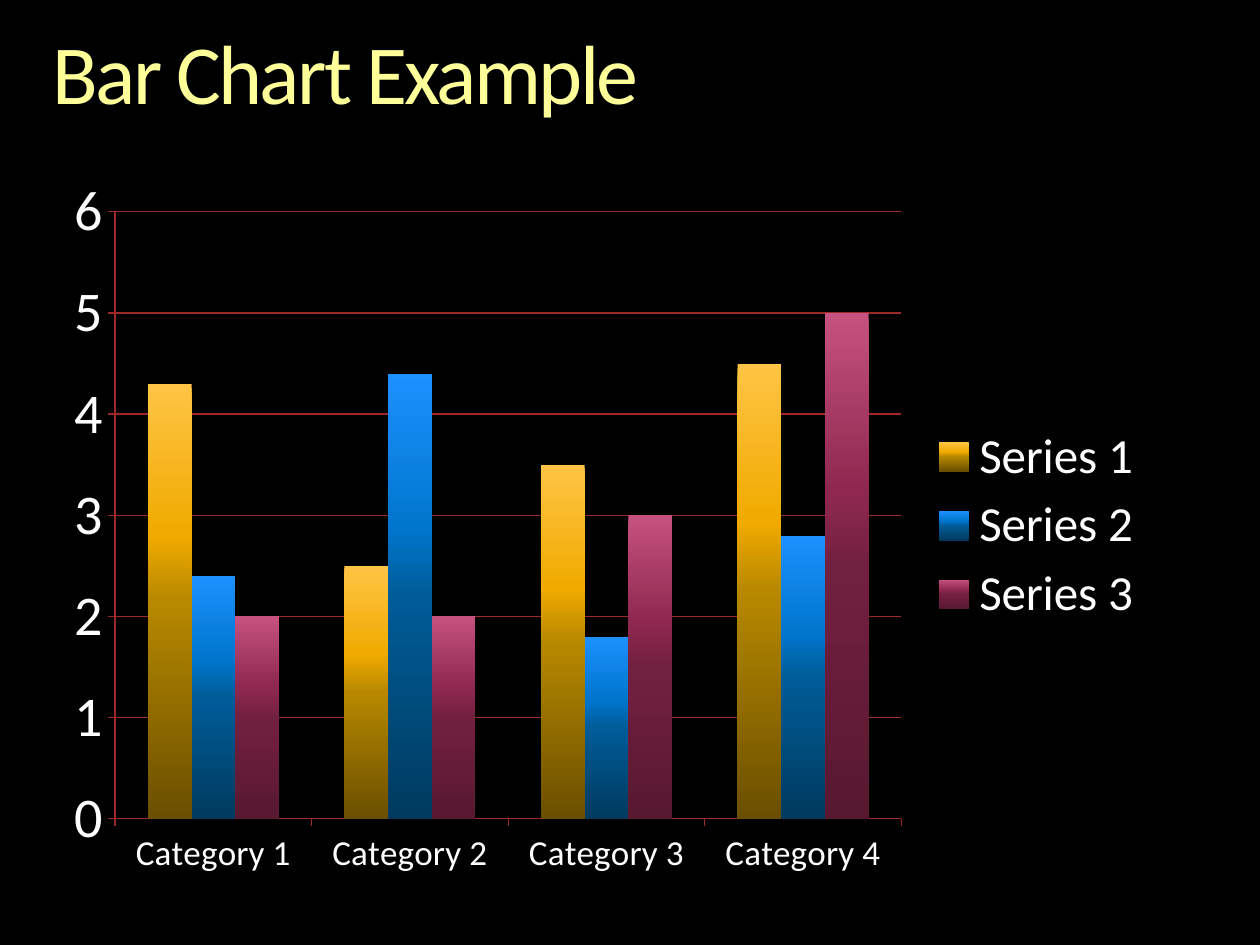
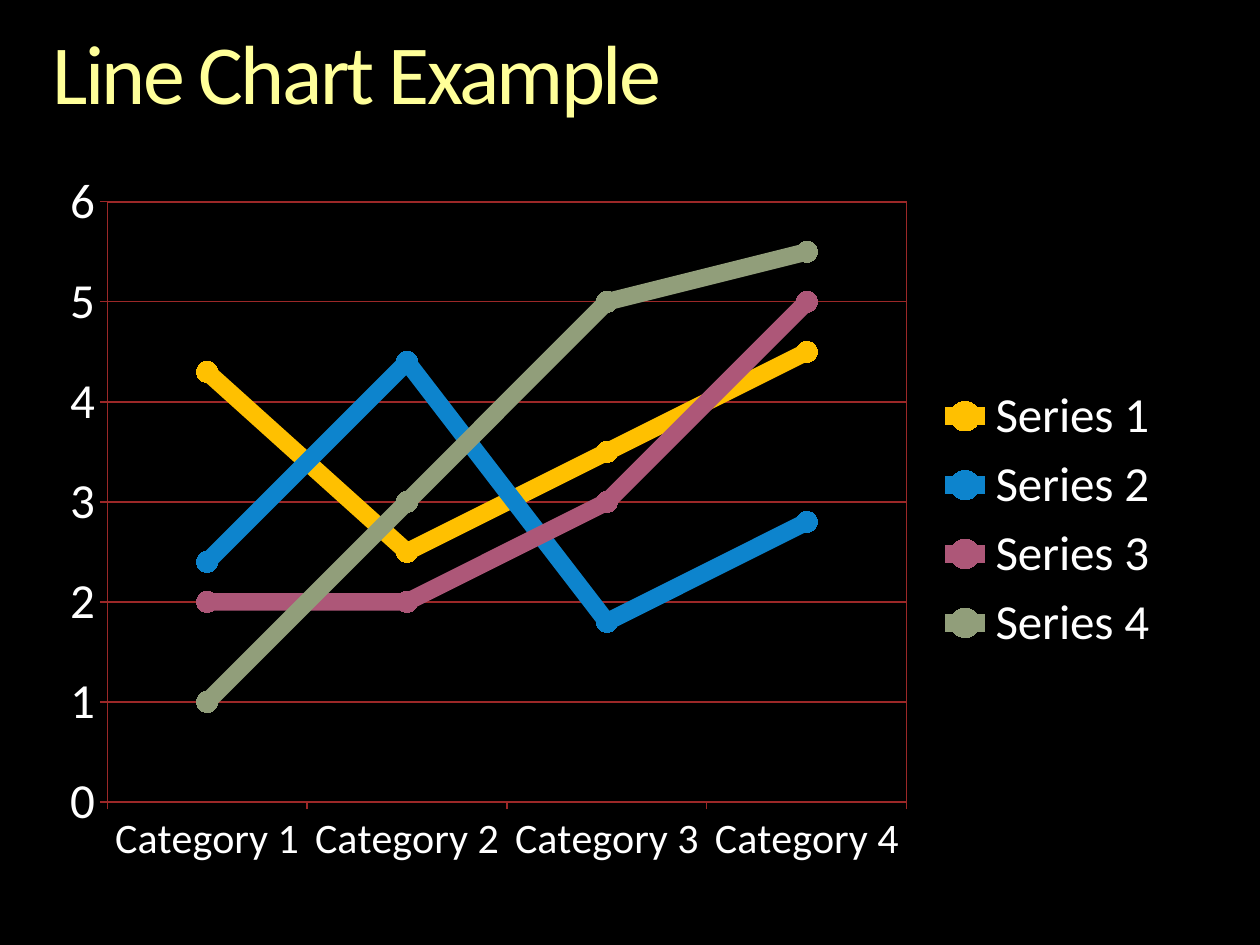
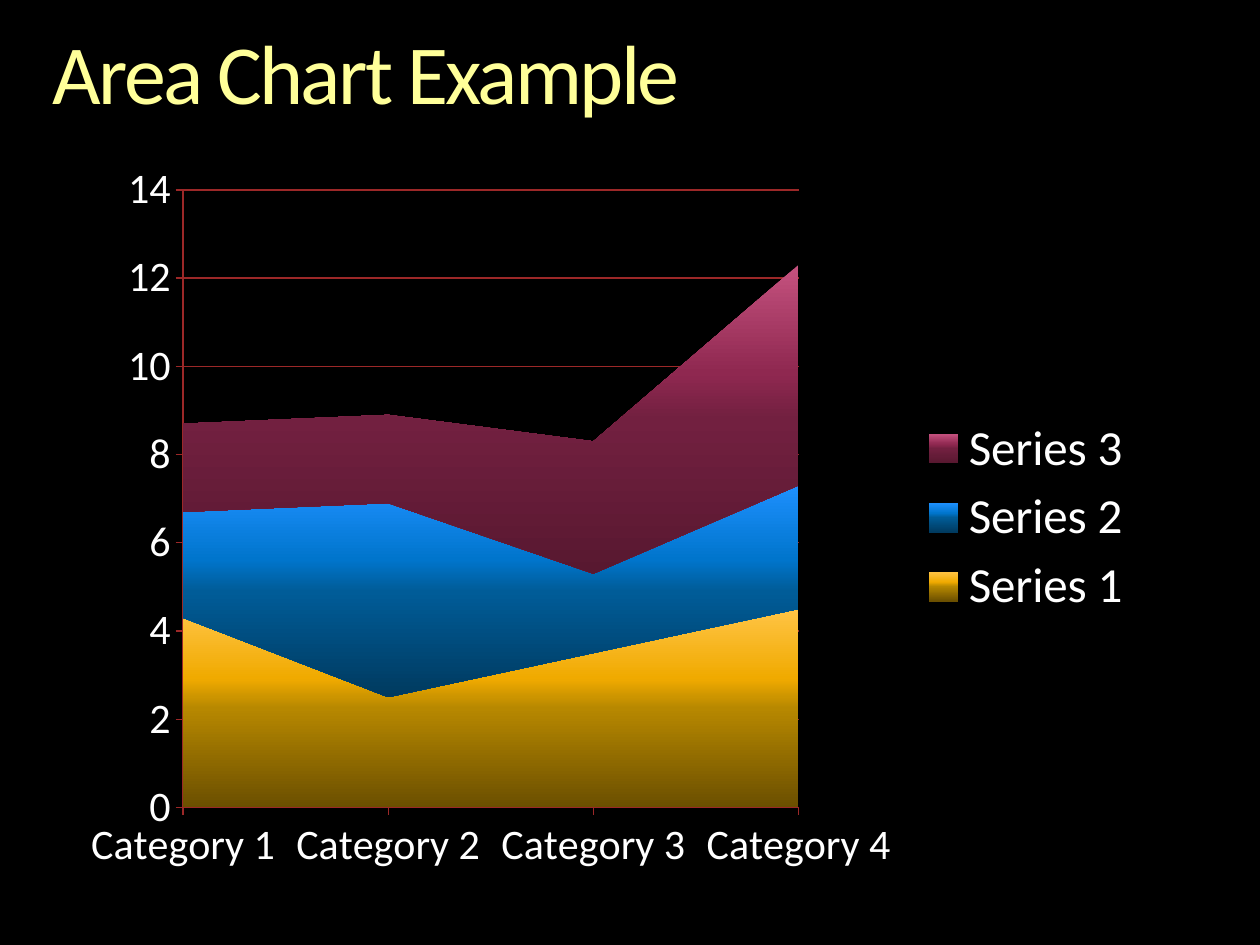
from lxml import etree
from pptx import Presentation
from pptx.chart.data import CategoryChartData
from pptx.dml.color import RGBColor
from pptx.enum import chart as ch, text
from pptx.oxml import ns
from pptx.util import Cm, Pt

FONT = "Calibri"
BACKGROUND, INK, RULE = "000000", "FFFFFF", "9C2828"
TITLE_BOX = (1.06, 0.64, 23.29, 1.85)
TITLE_STOPS = [(0, "FFFFB9", 100), (36, "FFFF99", 100), (86, "F6AE1E", 100)]

CATEGORIES = ["Category 1", "Category 2", "Category 3", "Category 4"]
SERIES = [
    ("Series 1", (4.3, 2.5, 3.5, 4.5), "FFC000", ("FFC445", "F0AA00", "B78800", "6B4F00")),
    ("Series 2", (2.4, 4.4, 1.8, 2.8), "0D84CD", ("1E90FF", "0075CC", "005C98", "003A5F")),
    ("Series 3", (2, 2, 3, 5), "AD5778", ("C5527F", "8F2850", "722040", "581830")),
    ("Series 4", (1, 3, 5, 5.5), "919E7A", ()),
]
SHADE_POSITIONS = (0, 35, 50, 100)

SLIDES = [
    dict(title="Bar Chart Example", kind=ch.XL_CHART_TYPE.COLUMN_CLUSTERED, series=3,
         frame=(1.07, 3.28, 22.3, 14.63), plot=(2.32, 4.27, 15.85, 12.24),
         category_size=20, value_size=32, backdrop=None),
    dict(title="Line Chart Example", kind=ch.XL_CHART_TYPE.LINE_MARKERS, series=4,
         frame=(0.97, 3.2, 22.73, 14.55), plot=(2.16, 4.07, 16.12, 12.1),
         category_size=24, value_size=28,
         backdrop=([(0, BACKGROUND, 0), (50, BACKGROUND, 9), (100, BACKGROUND, 85)], 90)),
    dict(title="Area Chart Example", kind=ch.XL_CHART_TYPE.AREA_STACKED, series=3,
         frame=(1.42, 3.02, 21.74, 14.83), plot=(3.69, 3.83, 12.41, 12.45),
         category_size=24, value_size=24,
         backdrop=([(0, BACKGROUND, 81), (51, BACKGROUND, 33), (100, BACKGROUND, 0)], 270)),
]


def rgb(color):
    return RGBColor.from_string(color)


def add(parent, tag, **attributes):
    child = etree.SubElement(parent, ns.qn(tag))
    for key, value in attributes.items():
        child.set(key, str(value))
    return child


def gradient(stops, angle):
    fill = etree.Element(ns.qn("a:gradFill"))
    stop_list = add(fill, "a:gsLst")
    for position, color, alpha in stops:
        stop = add(stop_list, "a:gs", pos=position * 1000)
        tint = add(stop, "a:srgbClr", val=color)
        if alpha < 100:
            add(tint, "a:alpha", val=alpha * 1000)
    add(fill, "a:lin", ang=angle * 60000, scaled=0)
    return fill


def style_line(line, color, width):
    line.color.rgb = rgb(color)
    line.width = Pt(width)


def add_title(slide, title):
    box = slide.shapes.add_textbox(*map(Cm, TITLE_BOX))
    frame = box.text_frame
    frame.word_wrap = True
    frame.auto_size = text.MSO_AUTO_SIZE.SHAPE_TO_FIT_TEXT
    frame.margin_left = frame.margin_right = frame.margin_top = frame.margin_bottom = 0
    paragraph = frame.paragraphs[0]
    paragraph.line_spacing = 0.9
    run = paragraph.add_run()
    run.text = title
    run.font.size = Pt(48)
    run.font.name = FONT
    properties = run.font._element
    properties.set("spc", "-150")
    properties.insert(0, gradient(TITLE_STOPS, 90))


def place_plot(chart, frame, plot, backdrop):
    area = chart._chartSpace.chart.plotArea
    for layout in area.findall(ns.qn("c:layout")):
        area.remove(layout)
    layout = etree.Element(ns.qn("c:layout"))
    area.insert(0, layout)
    manual = add(layout, "c:manualLayout")
    add(manual, "c:layoutTarget", val="inner")
    add(manual, "c:xMode", val="edge")
    add(manual, "c:yMode", val="edge")
    left, top, width, height = frame
    shares = ((plot[0] - left) / width, (plot[1] - top) / height,
              plot[2] / width, plot[3] / height)
    for key, share in zip("xywh", shares):
        add(manual, f"c:{key}", val=round(share, 4))
    if backdrop:
        add(area, "c:spPr").append(gradient(*backdrop))


def style_axis(axis, size):
    axis.major_tick_mark = ch.XL_TICK_MARK.OUTSIDE
    axis.minor_tick_mark = ch.XL_TICK_MARK.NONE
    axis.tick_labels.font.size = Pt(size)
    style_line(axis.format.line, RULE, 0.75)


def style_series(series, kind, color, shades):
    if kind == ch.XL_CHART_TYPE.LINE_MARKERS:
        series.smooth = False
        style_line(series.format.line, color, 10)
        marker = series.marker
        marker.style = ch.XL_MARKER_STYLE.CIRCLE
        marker.size = 12
        marker.format.fill.solid()
        marker.format.fill.fore_color.rgb = rgb(color)
        marker.format.line.fill.background()
    else:
        series.format.line.fill.background()
        stops = [(position, shade, 100) for position, shade in zip(SHADE_POSITIONS, shades)]
        series._element.get_or_add_spPr().insert(0, gradient(stops, 90))


def add_chart(slide, kind, shown, frame, plot, category_size, value_size, backdrop):
    data = CategoryChartData()
    data.categories = CATEGORIES
    for name, values, *_ in shown:
        data.add_series(name, values)
    chart = slide.shapes.add_chart(kind, *map(Cm, frame), data).chart
    chart.has_title = False
    chart.font.name = FONT
    chart.font.size = Pt(18)
    chart.font.color.rgb = rgb(INK)
    chart.has_legend = True
    chart.legend.position = ch.XL_LEGEND_POSITION.RIGHT
    chart.legend.include_in_layout = False
    chart.legend.font.size = Pt(28)

    style_axis(chart.category_axis, category_size)
    style_axis(chart.value_axis, value_size)
    chart.value_axis.has_major_gridlines = True
    style_line(chart.value_axis.major_gridlines.format.line, RULE, 0.75)

    series_group = chart.plots[0]
    series_group.vary_by_categories = False
    if kind == ch.XL_CHART_TYPE.COLUMN_CLUSTERED:
        series_group.gap_width = 150
        chart.value_axis.major_unit = 1
    for series, (_, _, color, shades) in zip(series_group.series, shown):
        style_series(series, kind, color, shades)
    place_plot(chart, frame, plot, backdrop)
    if kind == ch.XL_CHART_TYPE.LINE_MARKERS:
        border = add(chart._chartSpace.chart.plotArea.find(ns.qn("c:spPr")), "a:ln", w=Pt(0.75))
        add(add(border, "a:solidFill"), "a:srgbClr", val=RULE)


def main():
    deck = Presentation()
    deck.slide_width, deck.slide_height = Cm(25.4), Cm(19.05)
    for content in SLIDES:
        slide = deck.slides.add_slide(deck.slide_layouts[6])
        slide.background.fill.solid()
        slide.background.fill.fore_color.rgb = rgb(BACKGROUND)
        add_title(slide, content["title"])
        add_chart(slide, content["kind"], SERIES[:content["series"]], content["frame"],
                  content["plot"], content["category_size"], content["value_size"],
                  content["backdrop"])
    deck.save("out.pptx")


if __name__ == "__main__":
    main()
